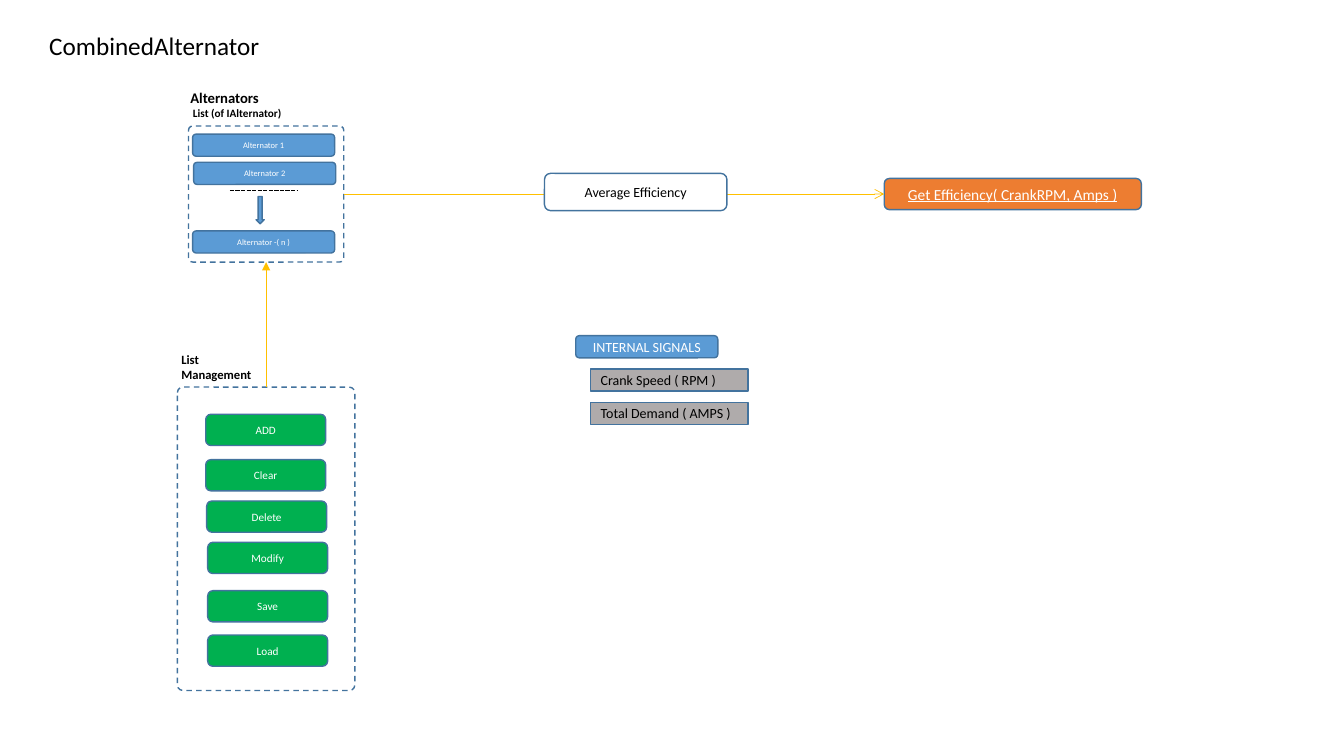
from dataclasses import dataclass

import pptx
import pptx.dml.color
import pptx.enum.dml
import pptx.enum.shapes
import pptx.enum.text
import pptx.oxml
import pptx.oxml.ns
import pptx.util

Inches = pptx.util.Inches
Pt = pptx.util.Pt
SHAPE = pptx.enum.shapes.MSO_SHAPE
DASH = pptx.enum.dml.MSO_LINE
ALIGN = pptx.enum.text.PP_ALIGN
TOP, LEFT, BOTTOM, RIGHT = range(4)


@dataclass(frozen=True)
class Theme:
    font: str = "Calibri"
    black: str = "000000"
    white: str = "FFFFFF"
    blue: str = "5B9BD5"
    outline: str = "43739E"
    green: str = "00B050"
    orange: str = "ED7D31"
    grey: str = "AFABAB"
    gold: str = "FFC000"
    title: float = 18
    output: float = 11
    heading: float = 10.5
    body: float = 10
    label: float = 9
    small: float = 8
    tiny: float = 6


THEME = Theme()


def rgb(value):
    return pptx.dml.color.RGBColor.from_string(value)


def style_text(p, text, size, color, bold=None, underline=None):
    p.text = text
    p.font.name = THEME.font
    p.font.size = Pt(size)
    p.font.color.rgb = rgb(color)
    p.font.bold = bold
    p.font.underline = underline


def add_text(slide, x, y, w, h, lines, bold=None, wrap=True):
    """Add a text box; lines holds (text, size) pairs, one per paragraph."""
    tf = slide.shapes.add_textbox(Inches(x), Inches(y), Inches(w), Inches(h)).text_frame
    tf.word_wrap = wrap
    for i, (text, size) in enumerate(lines):
        p = tf.add_paragraph() if i else tf.paragraphs[0]
        style_text(p, text, size, THEME.black, bold)


def add_box(slide, x, y, w, h, fill=None, kind=SHAPE.ROUNDED_RECTANGLE):
    sp = slide.shapes.add_shape(kind, Inches(x), Inches(y), Inches(w), Inches(h))
    sp.shadow.inherit = False
    if fill:
        sp.fill.solid()
        sp.fill.fore_color.rgb = rgb(fill)
    else:
        sp.fill.background()
    sp.line.color.rgb = rgb(THEME.outline)
    sp.line.width = Pt(1)
    return sp


def add_label_box(slide, x, y, w, h, text, size, fill, color=THEME.white,
                  kind=SHAPE.ROUNDED_RECTANGLE, align=ALIGN.CENTER, underline=None):
    sp = add_box(slide, x, y, w, h, fill, kind)
    tf = sp.text_frame
    tf.word_wrap = True
    tf.vertical_anchor = pptx.enum.text.MSO_ANCHOR.MIDDLE
    p = tf.paragraphs[0]
    p.alignment = align
    style_text(p, text, size, color, underline=underline)
    return sp


def add_frame(slide, x, y, w, h):
    sp = add_box(slide, x, y, w, h)
    sp.adjustments[0] = 0.031
    sp.line.dash_style = DASH.DASH
    return sp


def add_line(slide, x1, y1, x2, y2, color, width):
    line = slide.shapes.add_connector(pptx.enum.shapes.MSO_CONNECTOR.STRAIGHT,
                                      Inches(x1), Inches(y1), Inches(x2), Inches(y2))
    line.line.color.rgb = rgb(color)
    line.line.width = Pt(width)
    pptx.oxml.ns  # namespace helpers are used just below
    line._element.spPr.append(pptx.oxml.parse_xml(
        "<a:effectLst %s/>" % pptx.oxml.ns.nsdecls("a")))
    return line


def join(slide, start, start_side, end, end_side, head):
    line = add_line(slide, 0, 0, 1, 1, THEME.gold, 0.5)
    line.begin_connect(start, start_side)
    line.end_connect(end, end_side)
    line.line._get_or_add_ln().append(pptx.oxml.parse_xml(
        '<a:tailEnd %s type="%s"/>' % (pptx.oxml.ns.nsdecls("a"), head)))


def add_alternators(slide, x, y, w, h):
    add_text(slide, x - 0.08, y - 0.42, 1.67, 0.41,
             [("Alternators", THEME.heading), (" List (of IAlternator)", THEME.small)], bold=True)
    frame = add_frame(slide, x, y, w, h)
    for text, dx, dy in (("Alternator 1", 0.04, 0.08), ("Alternator 2", 0.05, 0.36),
                         ("Alternator -( n )", 0.04, 1.04)):
        add_label_box(slide, x + dx, y + dy, 1.41, 0.22, text, THEME.tiny, THEME.blue)
    gap = add_line(slide, x + 0.41, y + 0.64, x + 1.09, y + 0.64, THEME.black, 1)
    gap.line.dash_style = DASH.SQUARE_DOT
    add_box(slide, x + 0.67, y + 0.7, 0.08, 0.27, THEME.blue, SHAPE.DOWN_ARROW)
    return frame


def add_list_management(slide, x, y, w, h):
    add_text(slide, x - 0.06, y - 0.4, 1, 0.4,
             [("List", THEME.label), ("Management", THEME.label)], bold=True)
    frame = add_frame(slide, x, y, w, h)
    for text, dx, dy in (("ADD", 0.28, 0.27), ("Clear", 0.28, 0.72), ("Delete", 0.29, 1.13),
                         ("Modify", 0.3, 1.54), ("Save", 0.3, 2.02), ("Load", 0.3, 2.46)):
        add_label_box(slide, x + dx, y + dy, 1.19, 0.31, text, THEME.small, THEME.green)
    return frame


def add_internal_signals(slide, x, y):
    add_label_box(slide, x, y, 1.41, 0.22, "INTERNAL SIGNALS", THEME.body, THEME.blue)
    for i, text in enumerate(("Crank Speed ( RPM )", "Total Demand ( AMPS )")):
        add_label_box(slide, x + 0.15, y + 0.33 * (i + 1), 1.56, 0.22, text, THEME.body,
                      THEME.grey, THEME.black, SHAPE.RECTANGLE, ALIGN.LEFT)


def add_efficiency_flow(slide, source, x, y):
    """Lead from the source through the average to the efficiency output."""
    output = add_label_box(slide, x + 3.37, y + 0.05, 2.55, 0.31,
                           "Get Efficiency( CrankRPM, Amps )", THEME.output,
                           THEME.orange, underline=True)
    join(slide, source, RIGHT, output, LEFT, "arrow")
    add_label_box(slide, x, y, 1.81, 0.37, "Average Efficiency", THEME.body,
                  THEME.white, THEME.black)


def main():
    prs = pptx.Presentation()
    prs.slide_width, prs.slide_height = Inches(13.33), Inches(7.5)
    slide = prs.slides.add_slide(prs.slide_layouts[6])
    add_text(slide, 0.39, 0.25, 2.37, 0.4, [("CombinedAlternator", THEME.title)], wrap=False)
    alternators = add_alternators(slide, 1.87, 1.25, 1.54, 1.35)
    management = add_list_management(slide, 1.76, 3.84, 1.76, 3.01)
    join(slide, management, TOP, alternators, BOTTOM, "triangle")
    add_efficiency_flow(slide, alternators, 5.4, 1.72)
    add_internal_signals(slide, 5.71, 3.33)
    prs.save("out.pptx")


if __name__ == "__main__":
    main()
